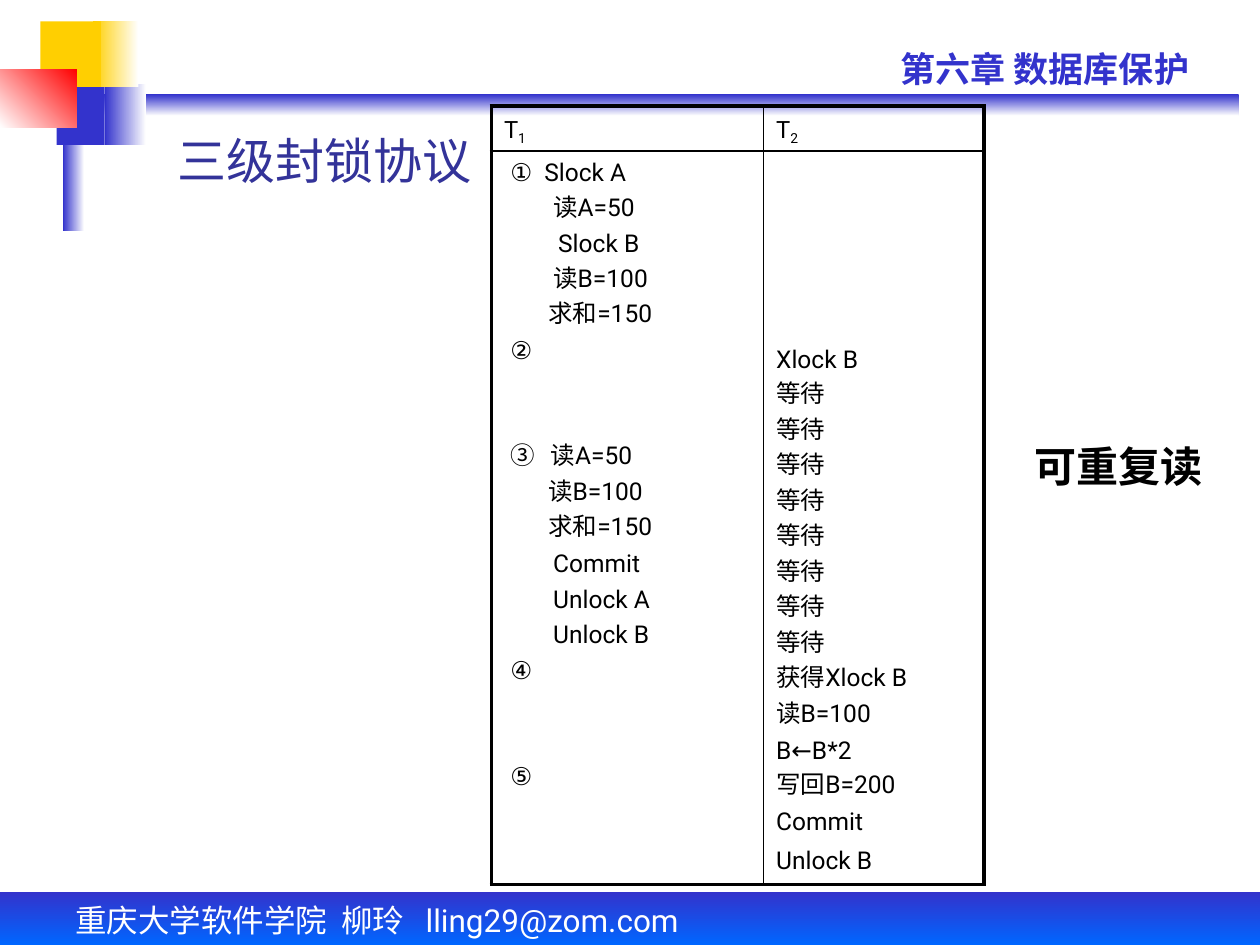
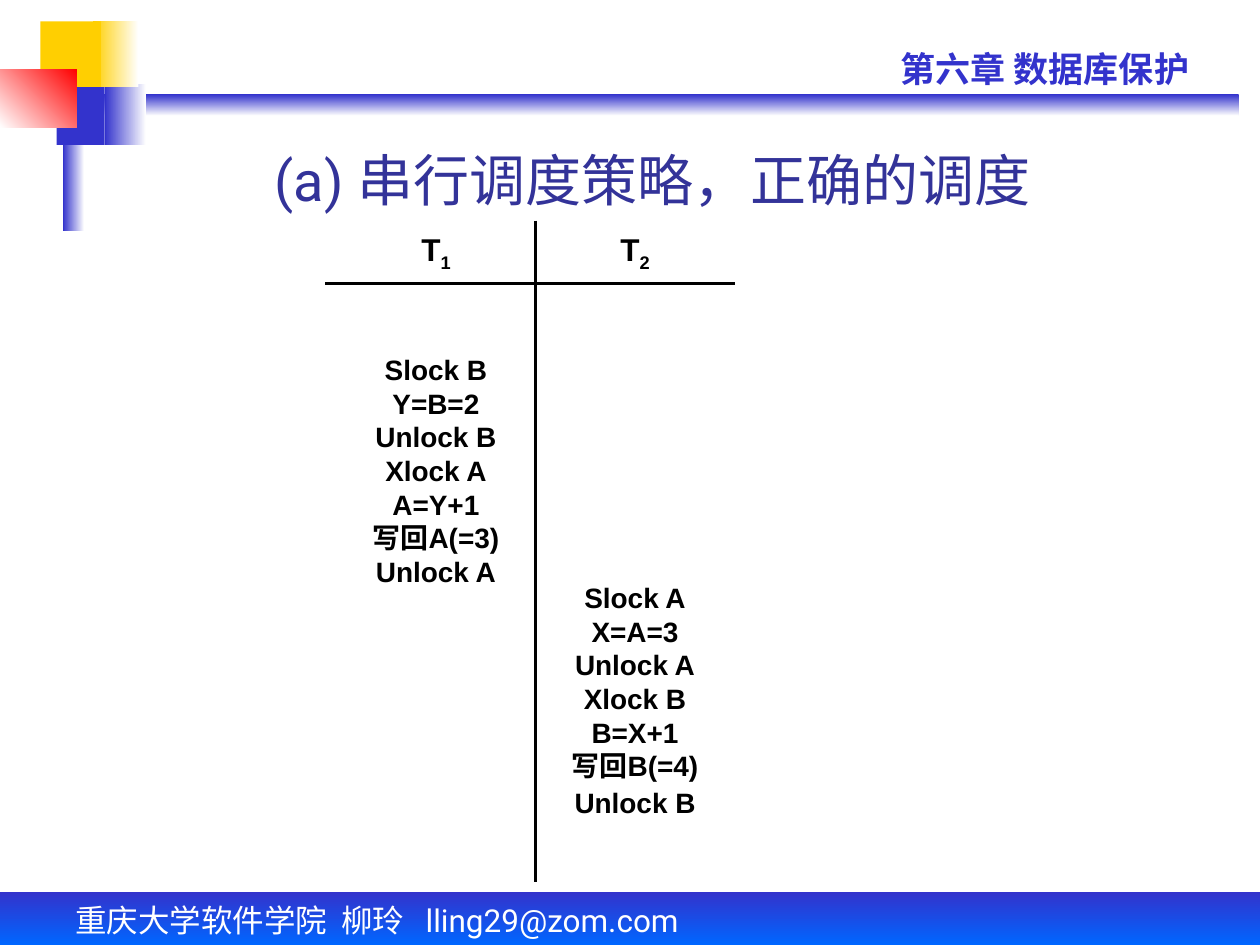
from pptx import Presentation
from pptx.dml.color import RGBColor as RGB
from pptx.enum.shapes import MSO_CONNECTOR as CONN, MSO_SHAPE as SHAPE
from pptx.enum.text import MSO_ANCHOR as ANCHOR, PP_ALIGN as ALIGN
from pptx.oxml import parse_xml
from pptx.oxml.ns import nsdecls
from pptx.util import Inches, Pt


class Theme:
    blue, sky, gold, red = "3333CC", "0066FF", "FFCF01", "FF0000"
    navy, black, white = "333399", "000000", "FFFFFF"
    footer = dict(name="Roboto", size=Pt(18), color=white)
    chapter = dict(name="Roboto", size=Pt(20), bold=True, color=blue)
    title_small = dict(name="Roboto", size=Pt(28), color=navy)
    title_large = dict(name="Roboto", size=Pt(32), color=navy)
    cell_head = dict(name="Roboto", size=Pt(13.6), color=black)
    cell = dict(name="Roboto", size=Pt(14), color=black)
    remark = dict(name="Arial", size=Pt(24), bold=True, color=black)
    column_head = dict(name="Arial", size=Pt(18), bold=True, color=black)
    step = dict(name="Arial", size=Pt(16), bold=True, color=black)
    cell_pitch, step_pitch = Pt(20.3), Pt(19.2)
    thick, thin = 2.25, 1


def put(p, text, fmt, sub=None, **para):
    for name, value in para.items():
        setattr(p, name, value)
    for part in filter(None, (text, sub)):
        r = p.add_run()
        r.text = part
        for name, value in fmt.items():
            if name == "color":
                r.font.color.rgb = RGB.from_string(value)
            else:
                setattr(r.font, name, value)
        if part is sub:
            r.font._element.set("baseline", "-25000")


def add_box(s, at, anchor=ANCHOR.TOP):
    tf = s.shapes.add_textbox(*map(Inches, at)).text_frame
    tf.word_wrap = True
    tf.vertical_anchor = anchor
    return tf


prs = Presentation()
prs.slide_width, prs.slide_height = Inches(10), Inches(7.5)

bands = [
    ((0.58, 0.75, 9.25, 0.17), (Theme.blue, Theme.white), 90),
    ((0.83, 0.67, 0.33, 0.48), (Theme.white, Theme.blue), 180),
    ((0, 7.08, 10, 0.42), (Theme.blue, Theme.sky), 90),
    ((0.5, 0.58, 0.17, 1.25), (Theme.white, Theme.blue), 180),
    ((0.45, 0.67, 0.38, 0.48), (Theme.blue,), None),
    ((0.74, 0.17, 0.36, 0.52), (Theme.white, Theme.gold), 180),
    ((0.32, 0.17, 0.48, 0.52), (Theme.gold,), None),
    ((0, 0.55, 0.61, 0.46), (Theme.red, Theme.white), 135),
]
titles = [
    ("三级封锁协议", (1.25, 1.17, 2.65, 0.38), Theme.title_small),
    ("(a) 串行调度策略，正确的调度", (1.22, 1.07, 7.92, 0.67), Theme.title_large),
]

for title, title_at, title_fmt in titles:
    s = prs.slides.add_slide(prs.slide_layouts[6])
    for at, colors, angle in bands:
        sp = s.shapes.add_shape(SHAPE.RECTANGLE, *map(Inches, at))
        sp.shadow.inherit = False
        sp.line.fill.background()
        if angle is None:
            sp.fill.solid()
            sp.fill.fore_color.rgb = RGB.from_string(colors[0])
            continue
        sp.fill.gradient()
        sp.fill.gradient_angle = 360 - angle
        for stop, color, position in zip(sp.fill.gradient_stops, colors, (0, 1)):
            stop.color.rgb = RGB.from_string(color)
            stop.position = position

    p = add_box(s, (0.5, 7.1, 5.58, 0.4)).paragraphs[0]
    tabs = "".join(f'<a:tab pos="{Inches(x)}" algn="l"/>' for x in (2.11, 2.78))
    p._p.get_or_add_pPr().append(parse_xml(f"<a:tabLst {nsdecls('a')}>{tabs}</a:tabLst>"))
    put(p, "重庆大学软件学院\t柳玲\tlling29@zom.com", Theme.footer)
    put(add_box(s, (7.05, 0.33, 2.79, 0.44)).paragraphs[0], "第六章 数据库保护", Theme.chapter)
    put(add_box(s, title_at, ANCHOR.BOTTOM).paragraphs[0], title, title_fmt, alignment=ALIGN.CENTER)

lock_slide, serial_slide = prs.slides

table = lock_slide.shapes.add_table(2, 2, *map(Inches, (3.9, 0.84, 3.91, 6.18))).table
table.first_row = table.horz_banding = False
for col, width in zip(table.columns, (2.16, 1.75)):
    col.width = Inches(width)
for row, height in zip(table.rows, (0.36, 5.82)):
    row.height = Inches(height)

for i in range(2):
    for j in range(2):
        cell = table.cell(i, j)
        tcPr = cell._tc.get_or_add_tcPr()
        outer = {"lnL": j == 0, "lnR": j == 1, "lnT": i == 0, "lnB": i == 1}
        for side, is_outer in outer.items():
            width = Pt(Theme.thick if is_outer else Theme.thin)
            tcPr.append(parse_xml(
                f'<a:{side} {nsdecls("a")} w="{width}"><a:solidFill>'
                f'<a:srgbClr val="{Theme.black}"/></a:solidFill></a:{side}>'))
        cell.fill.background()
        cell.margin_left = cell.margin_right = Inches(0.1)
        cell.margin_bottom = 0

for j, number in enumerate("12"):
    cell = table.cell(0, j)
    cell.margin_top = Inches(0.08)
    put(cell.text_frame.paragraphs[0], "T", Theme.cell_head, number, line_spacing=0.9)

t1_steps = [
    ("①", 0.32, "Slock A", 0), ("", 0.39, "读A=50", 0), ("", 0.43, "Slock B", 0),
    ("", 0.39, "读B=100", 0), ("", 0.35, "求和=150", 0), ("②", 0.35, "", 0),
    ("③", 0.37, "读A=50", 2), ("", 0.35, "读B=100", 0), ("", 0.35, "求和=150", 0),
    ("", 0.39, "Commit", 0), ("", 0.39, "Unlock A", 0), ("", 0.39, "Unlock B", 0),
    ("④", 0.35, "", 0), ("⑤", 0.35, "", 2),
]
cell = table.cell(1, 0)
cell.margin_top = Inches(0.01)
tf = cell.text_frame
for k, (mark, left, text, skipped) in enumerate(t1_steps):
    p = tf.add_paragraph() if k else tf.paragraphs[0]
    pPr = p._p.get_or_add_pPr()
    pPr.set("marL", str(Inches(left)))
    pPr.set("indent", str(Inches(0.05 - left) if mark else 0))
    put(p, "\t".join(filter(None, (mark, text))), Theme.cell,
        line_spacing=Theme.cell_pitch, space_before=skipped * Theme.cell_pitch)

t2_steps = ["Xlock B"] + ["等待"] * 8 + [
    "获得Xlock B", "读B=100", "B←B*2", "写回B=200", "Commit", "Unlock B"]
cell = table.cell(1, 1)
cell.margin_top = Inches(1.49)
tf = cell.text_frame
for k, text in enumerate(t2_steps):
    p = tf.add_paragraph() if k else tf.paragraphs[0]
    put(p, text, Theme.cell, line_spacing=Theme.cell_pitch)
p.space_before = Pt(2.5)

p = add_box(lock_slide, (7.8, 3.36, 2.16, 0.67), ANCHOR.MIDDLE).paragraphs[0]
put(p, "可重复读", Theme.remark, alignment=ALIGN.CENTER)

for ends in ((2.58, 2.25, 5.83, 2.25), (4.25, 1.75, 4.25, 7)):
    c = serial_slide.shapes.add_connector(CONN.STRAIGHT, *map(Inches, ends))
    c.line.width = Pt(Theme.thick)
    c.line.color.rgb = RGB.from_string(Theme.black)
    c._element.spPr.append(parse_xml(f"<a:effectLst {nsdecls('a')}/>"))

schedule = [
    ("1", 2.67, 2.33, 0.47,
     ["Slock B", "Y=B=2", "Unlock B", "Xlock A", "A=Y+1", "写回A(=3)", "Unlock A"]),
    ("2", 4.25, 2.25, 2.36,
     ["Slock A", "X=A=3", "Unlock A", "Xlock B", "B=X+1", "写回B(=4)", "Unlock B"]),
]
for number, left, top, inset, steps in schedule:
    p = add_box(serial_slide, (left, 1.75, 1.58, 0.5), ANCHOR.MIDDLE).paragraphs[0]
    put(p, "T", Theme.column_head, number, alignment=ALIGN.CENTER)
    tf = add_box(serial_slide, (left, top, 1.58, 7 - top))
    tf.margin_top = Inches(inset)
    for k, text in enumerate(steps):
        p = tf.add_paragraph() if k else tf.paragraphs[0]
        put(p, text, Theme.step, alignment=ALIGN.CENTER, line_spacing=Theme.step_pitch)
p.space_before = Pt(2)

prs.save("out.pptx")
